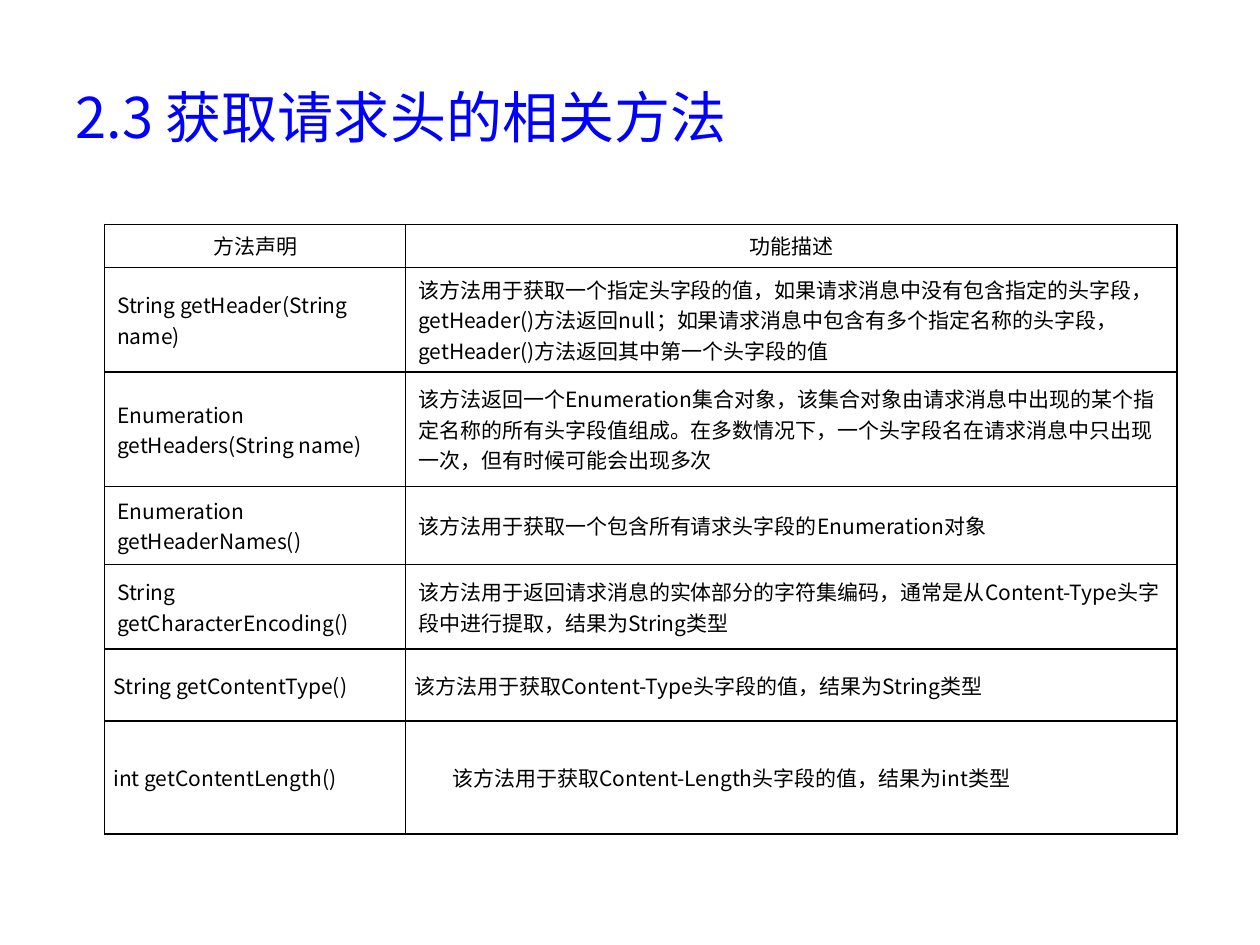
import pptx
import pptx.dml.color
import pptx.enum.text
import pptx.oxml
import pptx.oxml.ns
import pptx.util
from lxml import etree

COLORS = {"title": "0000FF", "text": "000000", "border": "000000", "cell": "FFFFFF"}
FONT = "Noto Sans CJK SC"
COLUMNS = [2.39, 6.12]
ROWS = [0.34, 0.83, 0.91, 0.62, 0.67, 0.57, 0.9]
WIDE, NARROW, INDENTED = 0.1, 0.07, 0.37
METHODS = [
    ("方法声明", "功能描述", WIDE),
    ("String getHeader(String name)",
     "该方法用于获取一个指定头字段的值，如果请求消息中没有包含指定的头字段，getHeader()方法返回null；"
     "如果请求消息中包含有多个指定名称的头字段，getHeader()方法返回其中第一个头字段的值", WIDE),
    ("Enumeration getHeaders(String name)",
     "该方法返回一个Enumeration集合对象，该集合对象由请求消息中出现的某个指定名称的所有头字段值组成。"
     "在多数情况下，一个头字段名在请求消息中只出现一次，但有时候可能会出现多次", WIDE),
    ("Enumeration getHeaderNames()", "该方法用于获取一个包含所有请求头字段的Enumeration对象", WIDE),
    ("String getCharacterEncoding()",
     "该方法用于返回请求消息的实体部分的字符集编码，通常是从Content-Type头字段中进行提取，结果为String类型", WIDE),
    ("String getContentType()", "该方法用于获取Content-Type头字段的值，结果为String类型", NARROW),
    ("int getContentLength()", "该方法用于获取Content-Length头字段的值，结果为int类型", INDENTED),
]


def rgb(name):
    """Return the named colour."""
    return pptx.dml.color.RGBColor.from_string(COLORS[name])


def format_text(tf, size, color, align):
    """Format the first paragraph, including its East Asian font."""
    p = tf.paragraphs[0]
    p.alignment = align
    p.font.size = pptx.util.Pt(size)
    p.font.name = FONT
    p.font.color.rgb = rgb(color)
    for r in p.runs:
        r.font.name = FONT
        etree.SubElement(r.font._element, pptx.oxml.ns.qn("a:ea"), typeface=FONT)


def add_borders(cell):
    """Draw a thin line on each side of the cell."""
    tc_pr = cell._tc.get_or_add_tcPr()
    for i, side in enumerate(("lnL", "lnR", "lnT", "lnB")):
        ln = pptx.oxml.parse_xml(
            f'<a:{side} {pptx.oxml.ns.nsdecls("a")} w="12700"><a:solidFill>'
            f'<a:srgbClr val="{COLORS["border"]}"/></a:solidFill></a:{side}>')
        tc_pr.insert(i, ln)


def fill_cell(cell, text, align, left, side):
    """Write and format one table cell."""
    cell.text = text
    cell.fill.solid()
    cell.fill.fore_color.rgb = rgb("cell")
    cell.vertical_anchor = pptx.enum.text.MSO_ANCHOR.MIDDLE
    cell.margin_left, cell.margin_right = pptx.util.Inches(left), pptx.util.Inches(side)
    if side == NARROW:
        cell.margin_top = cell.margin_bottom = 0
    format_text(cell.text_frame, 12, "text", align)
    add_borders(cell)


def place_title(s, text, box):
    """Move the title placeholder into the box and fill it."""
    sp = s.shapes.title
    sp.left, sp.top, sp.width, sp.height = box
    tf = sp.text_frame
    tf.text = text
    tf.vertical_anchor = pptx.enum.text.MSO_ANCHOR.MIDDLE
    format_text(tf, 32, "title", pptx.enum.text.PP_ALIGN.LEFT)


def place_methods(s, box):
    """Build the method table, sharing the box among its columns and rows."""
    left, top, width, height = box
    table = s.shapes.add_table(len(ROWS), len(COLUMNS), left, top, width, height).table
    table.horz_banding = False
    for column, share in zip(table.columns, COLUMNS):
        column.width = int(width * share / sum(COLUMNS))
    for row, share in zip(table.rows, ROWS):
        row.height = int(height * share / sum(ROWS))
    for i, (name, description, left_margin) in enumerate(METHODS):
        align = pptx.enum.text.PP_ALIGN.LEFT if i else pptx.enum.text.PP_ALIGN.CENTER
        side = min(left_margin, NARROW) if left_margin != WIDE else WIDE
        fill_cell(table.cell(i, 0), name, align, side, side)
        fill_cell(table.cell(i, 1), description, align, left_margin, side)


def main():
    """Build and save the slide."""
    prs = pptx.Presentation()
    w, h = prs.slide_width, prs.slide_height = pptx.util.Inches(10), pptx.util.Inches(7.5)
    s = prs.slides.add_slide(prs.slide_layouts[5])
    place_title(s, "2.3 获取请求头的相关方法", (int(w * 0.05), int(h * 0.04), int(w * 0.9), int(h / 6)))
    table_height = pptx.util.Inches(sum(ROWS))
    place_methods(s, (pptx.util.Inches(0.83), pptx.util.Inches(1.78),
                      pptx.util.Inches(sum(COLUMNS)), table_height))
    prs.save("out.pptx")


if __name__ == "__main__":
    main()
